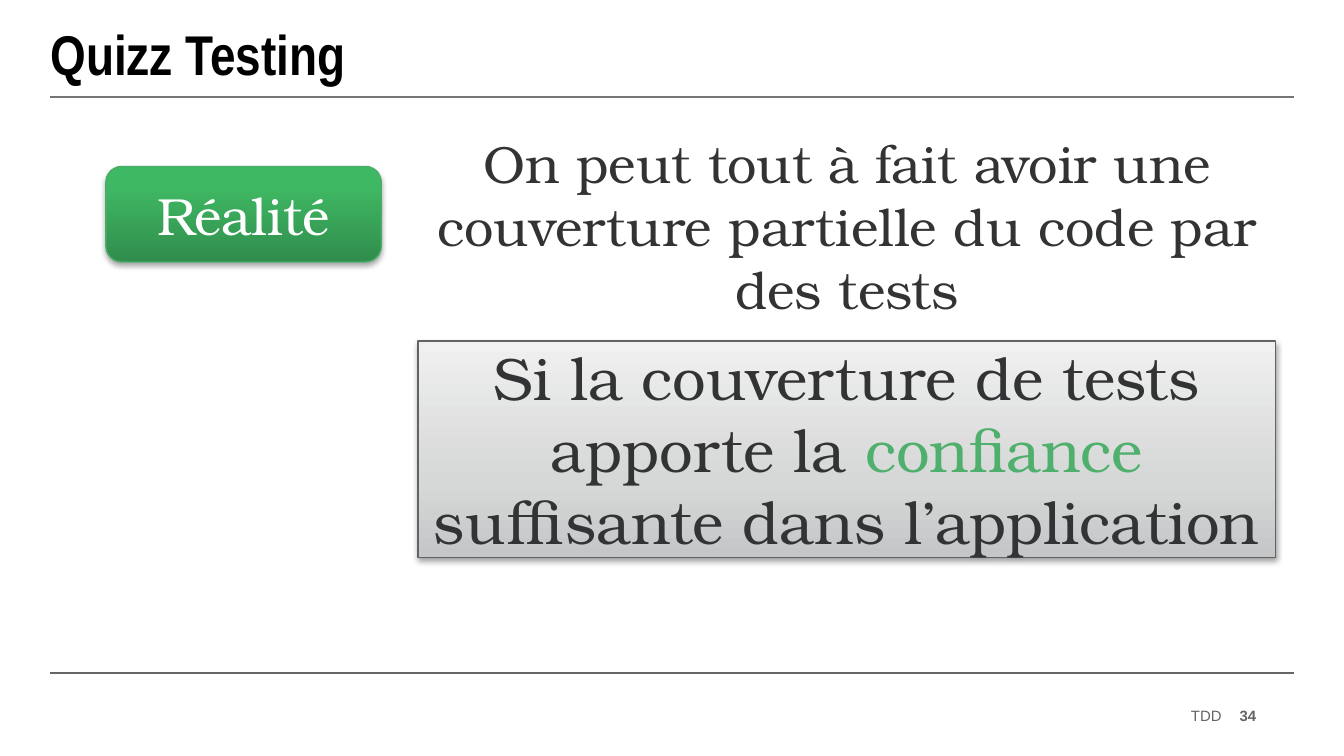
from lxml.etree import SubElement
from pptx import Presentation
from pptx.dml.color import RGBColor
from pptx.enum.shapes import MSO_CONNECTOR, MSO_SHAPE
from pptx.enum.text import MSO_ANCHOR, PP_ALIGN
from pptx.oxml.ns import qn
from pptx.util import Pt

BLACK = RGBColor(0x00, 0x00, 0x00)
WHITE = RGBColor(0xFF, 0xFF, 0xFF)
INK = RGBColor(0x32, 0x33, 0x34)
FOOTER_GRAY = RGBColor(0x64, 0x65, 0x67)
RULE_GRAY = RGBColor(0x76, 0x76, 0x76)
BOX_EDGE = RGBColor(0x62, 0x63, 0x65)
BADGE_EDGE = RGBColor(0x4B, 0xAD, 0x69)
ACCENT = RGBColor(0x4F, 0xAF, 0x6C)
GRAY_STOPS = [(0, RGBColor(0xC5, 0xC6, 0xC7)), (35, RGBColor(0xD6, 0xD7, 0xD7)),
              (100, RGBColor(0xF0, 0xF0, 0xF0))]
GREEN_STOPS = [(0, RGBColor(0x30, 0x8D, 0x4C)), (80, RGBColor(0x3F, 0xB8, 0x63)),
               (100, RGBColor(0x3D, 0xBB, 0x63))]
SERIF = "TeX Gyre Bonum"


def write(shape, pieces, size, font, align, anchor, insets=(0, 0), bold=False):
    """Fill a shape with one paragraph made of (text, colour) pieces."""
    frame = shape.text_frame
    frame.word_wrap = True
    frame.vertical_anchor = anchor
    frame.margin_left = frame.margin_right = Pt(insets[0])
    frame.margin_top = frame.margin_bottom = Pt(insets[1])
    paragraph = frame.paragraphs[0]
    paragraph.alignment = align
    for text, color in pieces:
        span = paragraph.add_run()
        span.text = text
        span.font.name = font
        span.font.size = Pt(size)
        span.font.bold = bold
        span.font.color.rgb = color


def add_panel(kind, left, top, width, height, stops, edge, shadow_alpha, shadow_distance):
    """Add a shape with a bottom-to-top gradient and a soft shadow below."""
    panel = page.shapes.add_shape(kind, Pt(left), Pt(top), Pt(width), Pt(height))
    panel.line.color.rgb = edge
    panel.line.width = Pt(0.75)
    panel.fill.gradient()
    panel.fill.gradient_angle = 90
    properties = panel._element.spPr
    stop_list = properties.find(".//" + qn("a:gsLst"))
    for old_stop in list(stop_list):
        stop_list.remove(old_stop)
    for position, color in stops:
        stop = SubElement(stop_list, qn("a:gs"), pos=str(position * 1000))
        SubElement(stop, qn("a:srgbClr"), val=str(color))
    panel.shadow.inherit = False
    shadow = SubElement(properties.find(qn("a:effectLst")), qn("a:outerShdw"),
                        blurRad=str(Pt(3.1)), dist=str(Pt(shadow_distance)),
                        dir="5400000", rotWithShape="0")
    shadow_color = SubElement(shadow, qn("a:srgbClr"), val=str(BLACK))
    SubElement(shadow_color, qn("a:alpha"), val=str(shadow_alpha * 1000))
    return panel


deck = Presentation()
deck.slide_width, deck.slide_height = Pt(720), Pt(405)
page = deck.slides.add_slide(deck.slide_layouts[6])

# Rules above the footer and below the title
for y, color in [(360.7, FOOTER_GRAY), (52, RULE_GRAY)]:
    rule = page.shapes.add_connector(MSO_CONNECTOR.STRAIGHT, Pt(27), Pt(y), Pt(693), Pt(y))
    rule.line.color.rgb = color
    rule.line.width = Pt(1)
    SubElement(rule._element.spPr, qn("a:effectLst"))

# Title
title = page.shapes.add_textbox(Pt(27), Pt(6.5), Pt(666), Pt(44))
write(title, [("Quizz Testing", BLACK)], 30, "Arial Narrow", PP_ALIGN.LEFT,
      MSO_ANCHOR.MIDDLE, bold=True)

# Footer: course name and page number
for text, left, width, bold in [("TDD", 496, 158.5, False), ("34", 658.5, 14.5, True)]:
    footer = page.shapes.add_textbox(Pt(left), Pt(378), Pt(width), Pt(11))
    write(footer, [(text, FOOTER_GRAY)], 8, "Arial", PP_ALIGN.RIGHT,
          MSO_ANCHOR.MIDDLE, bold=bold)

# Statement
statement = page.shapes.add_textbox(Pt(224), Pt(67), Pt(459.5), Pt(282))
write(statement,
      [("On peut tout à fait avoir une couverture partielle du code par des tests", INK)],
      28, SERIF, PP_ALIGN.CENTER, MSO_ANCHOR.TOP, insets=(7.2, 3.6))

# Condition box
condition = add_panel(MSO_SHAPE.RECTANGLE, 224, 182.7, 459.5, 116, GRAY_STOPS, BOX_EDGE, 38, 1.6)
write(condition,
      [("Si la couverture de tests apporte la ", INK), ("confiance", ACCENT),
       (" suffisante dans l’application", INK)],
      32, SERIF, PP_ALIGN.CENTER, MSO_ANCHOR.TOP)

# Verdict badge
verdict = add_panel(MSO_SHAPE.ROUNDED_RECTANGLE, 56.7, 89.2, 147.6, 51.2,
                    GREEN_STOPS, BADGE_EDGE, 35, 1.8)
write(verdict, [("Réalité", WHITE)], 28, SERIF, PP_ALIGN.CENTER,
      MSO_ANCHOR.MIDDLE, insets=(7.2, 7.2))

deck.save("out.pptx")
